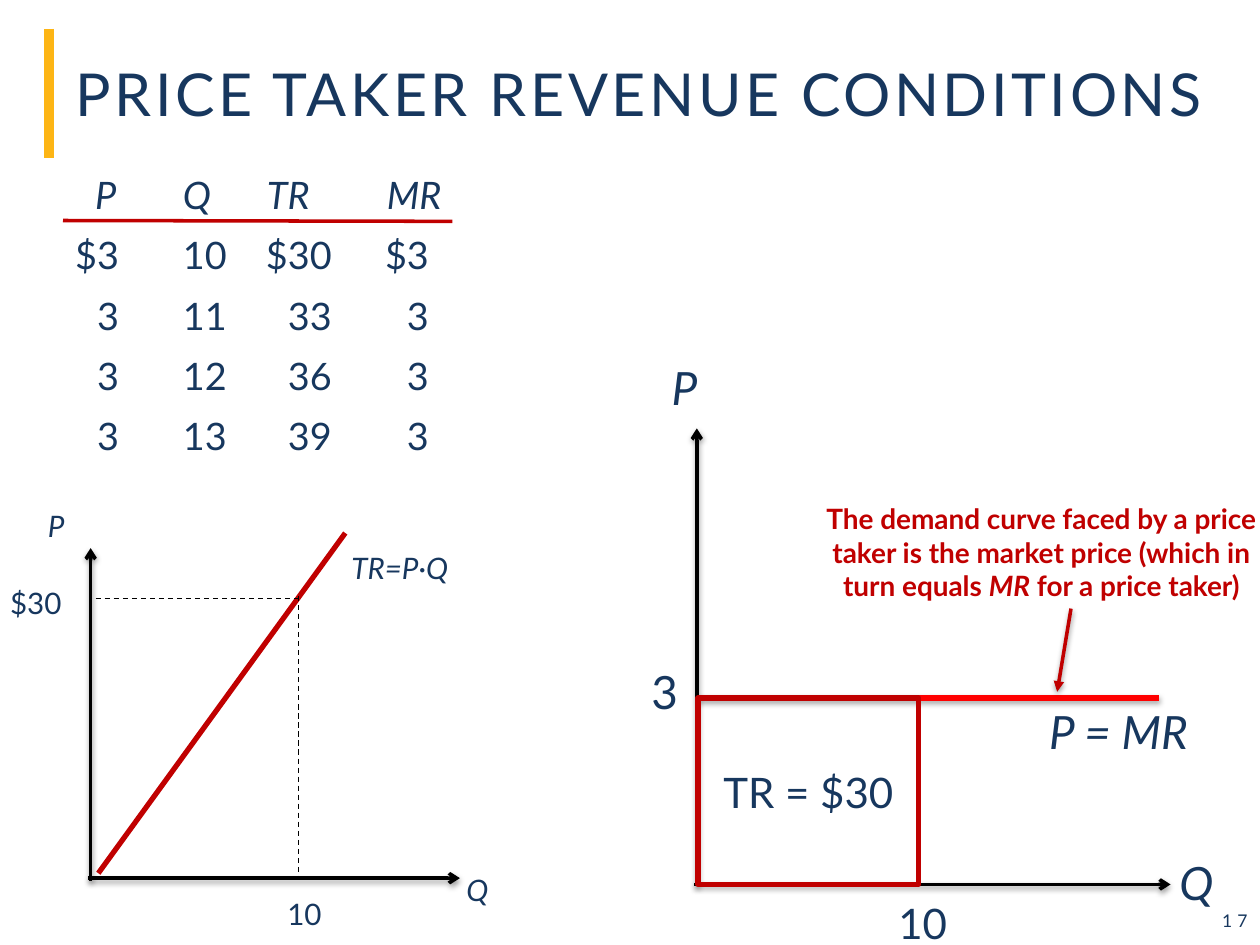
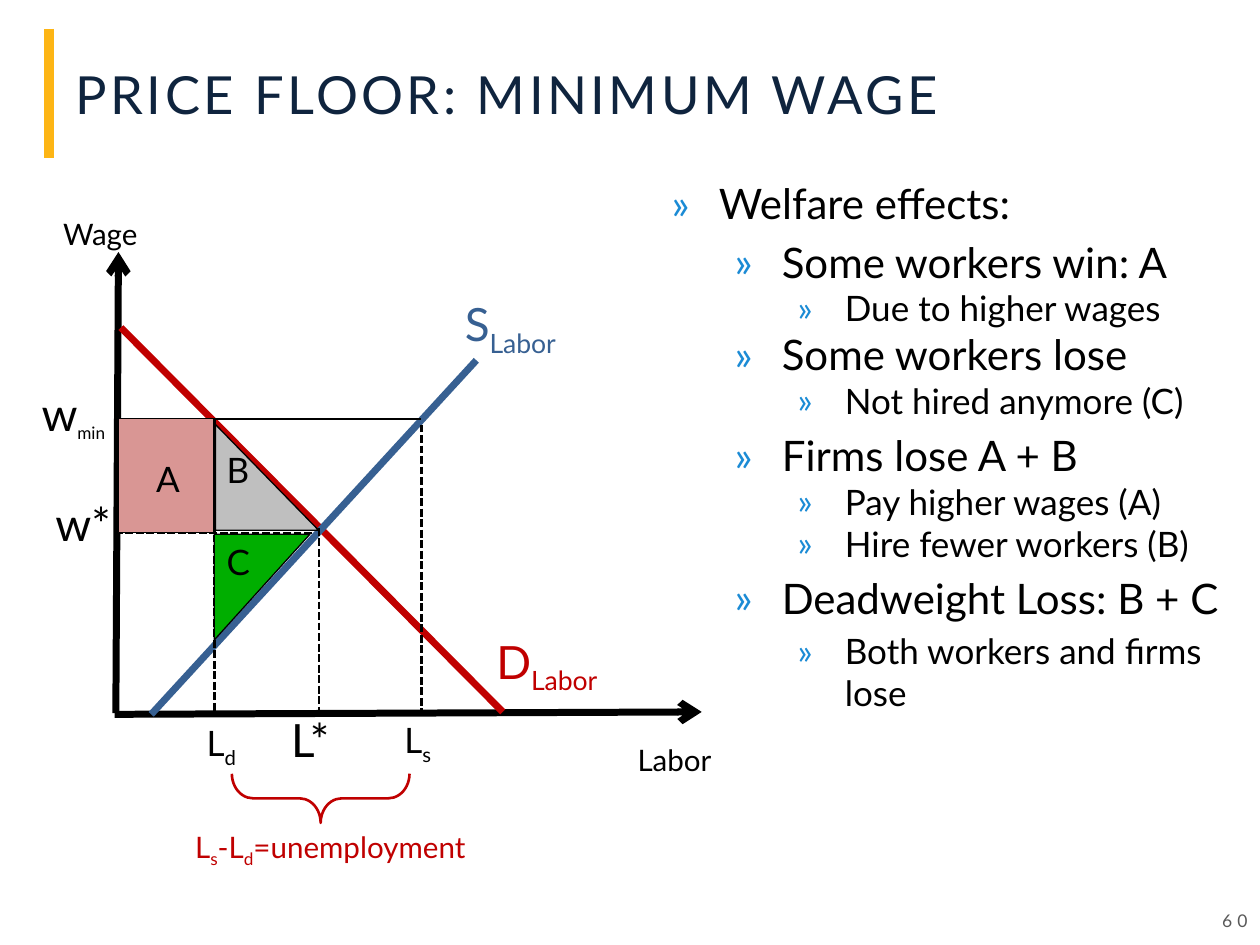
from lxml import etree
from pptx import Presentation
from pptx.dml.color import RGBColor
from pptx.enum.dml import MSO_LINE
from pptx.enum.shapes import MSO_CONNECTOR, MSO_SHAPE
from pptx.enum.text import MSO_ANCHOR, PP_ALIGN
from pptx.oxml.ns import qn
from pptx.util import Pt

STRAIGHT = MSO_CONNECTOR.STRAIGHT
RECT, WEDGE, BRACE = MSO_SHAPE.RECTANGLE, MSO_SHAPE.ISOSCELES_TRIANGLE, MSO_SHAPE.LEFT_BRACE
DASH, DOTS = MSO_LINE.DASH, MSO_LINE.SQUARE_DOT
LEFT, MID, RIGHT = PP_ALIGN.LEFT, PP_ALIGN.CENTER, PP_ALIGN.RIGHT
CENTER, TOP = MSO_ANCHOR.MIDDLE, MSO_ANCHOR.TOP

FONT = "Lato"
NAVY, INK, BLACK, GRAY = "17375E", "0F243E", "000000", "595959"
RED, BRIGHT, BLUE, GOLD, SKY = "C00000", "FF0000", "376092", "FDB515", "1B8BD5"
PINK, GREEN, SILVER = "D99694", "00AE00", "BFBFBF"
ITALIC = {"italic": True}
SUB = {"base": -25}
TIGHT = (1.44, 2.16)
ROOMY = (7.2, 3.6)


def color(code):
    return RGBColor.from_string(code)


def put(item, values):
    for name, value in values.items():
        setattr(item, name, value)


def child(parent, tag, **values):
    node = etree.SubElement(parent, qn(tag))
    for name, value in values.items():
        node.set(name, str(value))
    return node


def add_run(para, text, size, ink, base=0, space=0, **style):
    run = para.add_run()
    run.text = text
    put(run.font, {"name": FONT, "size": Pt(size), **style})
    run.font.color.rgb = color(ink)
    props = run._r.get_or_add_rPr()
    if base:
        props.set("baseline", str(base * 1000))
    if space:
        props.set("spc", str(space * 100))


def fill_para(para, parts, size, ink, **style):
    if isinstance(parts, str):
        parts = [(parts, {})]
    for text, extra in parts:
        add_run(para, text, **{"size": size, "ink": ink, **style, **extra})


def set_frame(frame, pad, wrap, anchor=TOP):
    across, down = map(Pt, pad)
    put(frame, {"margin_left": across, "margin_right": across, "margin_top": down,
                "margin_bottom": down, "word_wrap": wrap, "vertical_anchor": anchor})


def label(slide, x, y, parts, size, ink, wide=48, **style):
    box = slide.shapes.add_textbox(Pt(x), Pt(y), Pt(wide), Pt(32))
    set_frame(box.text_frame, TIGHT, False)
    para = box.text_frame.paragraphs[0]
    para.line_spacing = Pt(27.6)
    fill_para(para, parts, size, ink, **style)


def note(slide, x, y, w, h, parts, size, ink, align=LEFT, anchor=TOP, **style):
    box = slide.shapes.add_textbox(Pt(x), Pt(y), Pt(w), Pt(h))
    set_frame(box.text_frame, ROOMY, True, anchor)
    para = box.text_frame.paragraphs[0]
    para.alignment = align
    fill_para(para, parts, size, ink, **style)


def line(slide, start, end, ink, width, dash=None, head=None, tail=None, shade=0):
    link = slide.shapes.add_connector(STRAIGHT, *map(Pt, start + end))
    link.line.color.rgb = color(ink)
    link.line.width = Pt(width)
    if dash:
        link.line.dash_style = dash
    stroke = link.line._get_or_add_ln()
    for tag, kind in (("a:headEnd", head), ("a:tailEnd", tail)):
        if kind:
            child(stroke, tag, type=kind)
    effects = child(link._element.spPr, "a:effectLst")
    if shade:
        shadow = child(effects, "a:outerShdw", blurRad=Pt(3.1), dist=Pt(1.6),
                       dir=5400000, rotWithShape=0)
        child(child(shadow, "a:srgbClr", val=BLACK), "a:alpha", val=shade * 1000)


def shape(slide, kind, x, y, w, h, ink, width, fill=None, turn=0, bends=()):
    form = slide.shapes.add_shape(kind, Pt(x), Pt(y), Pt(w), Pt(h))
    form.shadow.inherit = False
    form.rotation = turn
    for i, bend in enumerate(bends):
        form.adjustments[i] = bend
    form.line.color.rgb = color(ink)
    form.line.width = Pt(width)
    if fill:
        form.fill.solid()
        form.fill.fore_color.rgb = color(fill)
    else:
        form.fill.background()
    return form


def start_slide(deck, title, size, ink, number, tone):
    slide = deck.slides.add_slide(deck.slide_layouts[5])
    line(slide, (28, 16.5), (28, 90), GOLD, 6)
    head = slide.shapes.title
    put(head, {"left": Pt(36), "top": Pt(23), "width": Pt(671), "height": Pt(60.5)})
    set_frame(head.text_frame, (7.2, 7.2), True, CENTER)
    para = head.text_frame.paragraphs[0]
    para.alignment = LEFT
    fill_para(para, title, size, ink, space=2)
    note(slide, 552.2, 511.9, 167.8, 28.8, number, 10, tone, RIGHT, CENTER, space=3)
    return slide


def add_grid(slide, x, y, rows, cols):
    step = 34.5
    total = sum(width for width, *_ in cols)
    grid = slide.shapes.add_table(len(rows), len(cols), Pt(x), Pt(y),
                                  Pt(total), Pt(step * len(rows))).table
    put(grid, {"first_row": False, "horz_banding": False})
    for c, (width, left, right, align, top) in enumerate(cols):
        grid.columns[c].width = Pt(width)
        for r, row in enumerate(rows):
            grid.rows[r].height = Pt(step)
            cell = grid.cell(r, c)
            cell.fill.background()
            side = align if r else top
            put(cell, {"margin_left": Pt(left if side == LEFT else 0),
                       "margin_right": Pt(right if r else 1.5),
                       "margin_top": 0, "margin_bottom": 0})
            para = cell.text_frame.paragraphs[0]
            put(para, {"alignment": side, "line_spacing": Pt(25.6)})
            fill_para(para, row[c], 21.6, NAVY, italic=r == 0)


def add_list(slide, x, y, w, h, items):
    frame = slide.shapes.add_textbox(Pt(x), Pt(y), Pt(w), Pt(h)).text_frame
    set_frame(frame, TIGHT, True)
    for i, (level, gap, text) in enumerate(items):
        para = frame.paragraphs[0] if i == 0 else frame.add_paragraph()
        put(para, {"level": level, "space_before": Pt(gap)})
        props = para._p.get_or_add_pPr()
        props.set("marL", str(Pt(27 + 36 * level)))
        props.set("indent", str(Pt(-27)))
        child(child(props, "a:buClr"), "a:srgbClr", val=SKY)
        child(props, "a:buFont", typeface=FONT)
        child(props, "a:buChar", char="»")
        fill_para(para, text, 20 if level == 2 else 24, BLACK)


def draw_total(slide):
    small = 16.9
    label(slide, 199.4, 304.6, "TR=P∙Q", small, NAVY, 96, **ITALIC)
    line(slide, (56.2, 499), (197.3, 304.6), RED, 3)
    line(slide, (170.6, 340.6), (170.6, 501), BLACK, 0.75, DASH)
    label(slide, 162.7, 502.6, "10", small, NAVY)
    line(slide, (54.7, 342), (170.6, 342), BLACK, 0.75, DASH)
    label(slide, 4.3, 324.7, "$30", small, NAVY)
    line(slide, (51.8, 313.2), (51.8, 503.3), BLACK, 2, head="arrow", shade=38)
    line(slide, (50.4, 501.8), (262.8, 501.8), BLACK, 2, tail="arrow", shade=38)
    label(slide, 265, 488.9, "Q", small, NAVY, **ITALIC)
    note(slide, 20.2, 286.6, 35.3, 28, "P", small, NAVY, **ITALIC)


def draw_demand(slide):
    big = 26.2
    left, price, base = 398.9, 398.9, 505.4
    label(slide, 382.3, 207.4, "P", big, NAVY, **ITALIC)
    line(slide, (398.2, 244.8), (398.2, 506.2), BLACK, 2, head="arrow", shade=38)
    line(slide, (396.7, base), (668.9, base), BLACK, 2, tail="arrow", shade=38)
    label(slide, 672.5, 490.3, "Q", big, NAVY, 46, **ITALIC)
    label(slide, 370.8, 380.9, "3", big, NAVY)
    line(slide, (left, price), (662.4, price), BRIGHT, 3, shade=35)
    label(slide, 598, 403.9, "P = MR", big, NAVY, 115, **ITALIC)
    label(slide, 511.9, 511.9, "10", 24, NAVY)
    area = shape(slide, RECT, left, price, 126, base - price, RED, 3)
    set_frame(area.text_frame, ROOMY, False, CENTER)
    para = area.text_frame.paragraphs[0]
    para.alignment = MID
    fill_para(para, "TR = $30", 24, NAVY)
    note(slide, 463.7, 283, 262.8, 65.5,
         [("The demand curve faced by a price taker is the market price "
           "(which in turn equals ", {}), ("MR", ITALIC), (" for a price taker)", {})],
         16, RED, MID, bold=True)
    line(slide, (612, 347.8), (604.1, 395.3), RED, 2, tail="triangle", shade=38)


def draw_labor(slide):
    big, small = 26.2, 16.9
    low, high, base = 304.6, 239.4, 408.2
    label(slide, 362.9, 414.7, "Labor", small, BLACK, 72)
    line(slide, (67.7, 144), (66.2, 407.5), BLACK, 4, head="arrow")
    line(slide, (65.5, base), (401, 406.8), BLACK, 4, tail="arrow")
    label(slide, 34.6, 113.8, "Wage", small, BLACK, 72)
    line(slide, (69.1, 187.2), (287.3, 406.8), RED, 4)
    label(slide, 282.2, 367.9, [("D", {}), ("Labor", SUB)], big, RED, 96)
    label(slide, 30.2, 285.1, "w*", big, BLACK)
    line(slide, (184.3, low), (64.8, low), BLACK, 1.5, DOTS)
    line(slide, (272.2, 205.9), (86.4, base), BLUE, 4)
    label(slide, 264.2, 175, [("S", {}), ("Labor", SUB)], big, BLUE, 96)
    label(slide, 164.9, base, "L*", big, BLACK)
    shape(slide, BRACE, 169.2, 405.4, 28.1, 101.5, RED, 1.5, turn=270, bends=(0.43, 0.5))
    note(slide, 104.4, 470.2, 236.2, 28,
         [("L", {}), ("s", SUB), ("-L", {}), ("d", SUB), ("=unemployment", {})], small, RED)
    label(slide, 22.3, 223.2, [("w", {}), ("min", {"size": small, **SUB})], big, BLACK, 72)
    line(slide, (66.2, high), (240.5, high), BLACK, 1.5)
    label(slide, 229.7, base, [("L", {}), ("s", SUB)], 20, BLACK)
    for x, top in ((182.2, 301.7), (240.8, 242.6), (122.4, high)):
        line(slide, (x, top), (x, base), BLACK, 1.5, DOTS)
    label(slide, 116.6, 409.7, [("L", {}), ("d", SUB)], 20, BLACK)
    shape(slide, RECT, 67.7, 239, 54.7, 65.5, BLACK, 0.75, PINK)
    shape(slide, WEDGE, 119.5, 308.2, 60.5, 54.7, BLACK, 0.75, GREEN, 90, (0,))
    shape(slide, WEDGE, 123.1, 242.6, 59, 60.5, BLACK, 0.75, SILVER, bends=(0,))
    for text, x, y in (("A", 82.1, 257.8), ("C", 122.4, 305.3), ("B", 122.4, 252.7)):
        note(slide, x, y, 40, 32, text, 20, BLACK)


def main():
    deck = Presentation()
    put(deck, {"slide_width": Pt(720), "slide_height": Pt(540)})

    taker = start_slide(deck, "PRICE TAKER REVENUE CONDITIONS", 33.8, NAVY, "17", NAVY)
    rows = [("P", "Q", "TR", "MR"), ("$3", "10", "$30", "$3"), ("3", "11", "33", "3"),
            ("3", "12", "36", "3"), ("3", "13", "39", "3")]
    cols = [(32, 0, 0, RIGHT, RIGHT), (70, 36.6, 0, LEFT, LEFT),
            (51.6, 14.6, 0, RIGHT, LEFT), (69, 31.5, 13.5, RIGHT, LEFT)]
    add_grid(taker, 36, 98.6, rows, cols)
    line(taker, (36, 126), (258.5, 126.5), RED, 2)
    draw_total(taker)
    draw_demand(taker)

    floor = start_slide(deck, "PRICE FLOOR: MINIMUM WAGE", 30, INK, "60", GRAY)
    add_list(floor, 382.3, 99.4, 318.2, 295.2, [
        (0, 0, "Welfare effects:"),
        (1, 4.8, "Some workers win: A"),
        (2, 0, "Due to higher wages"),
        (1, 0, "Some workers lose"),
        (2, 0, "Not hired anymore (C)"),
        (1, 4.8, "Firms lose A + B"),
        (2, 0, "Pay higher wages (A)"),
        (2, 0, "Hire fewer workers (B)"),
        (1, 4.8, "Deadweight Loss: B + C"),
        (2, 4, "Both workers and firms lose")])
    draw_labor(floor)
    deck.save("out.pptx")


if __name__ == "__main__":
    main()
